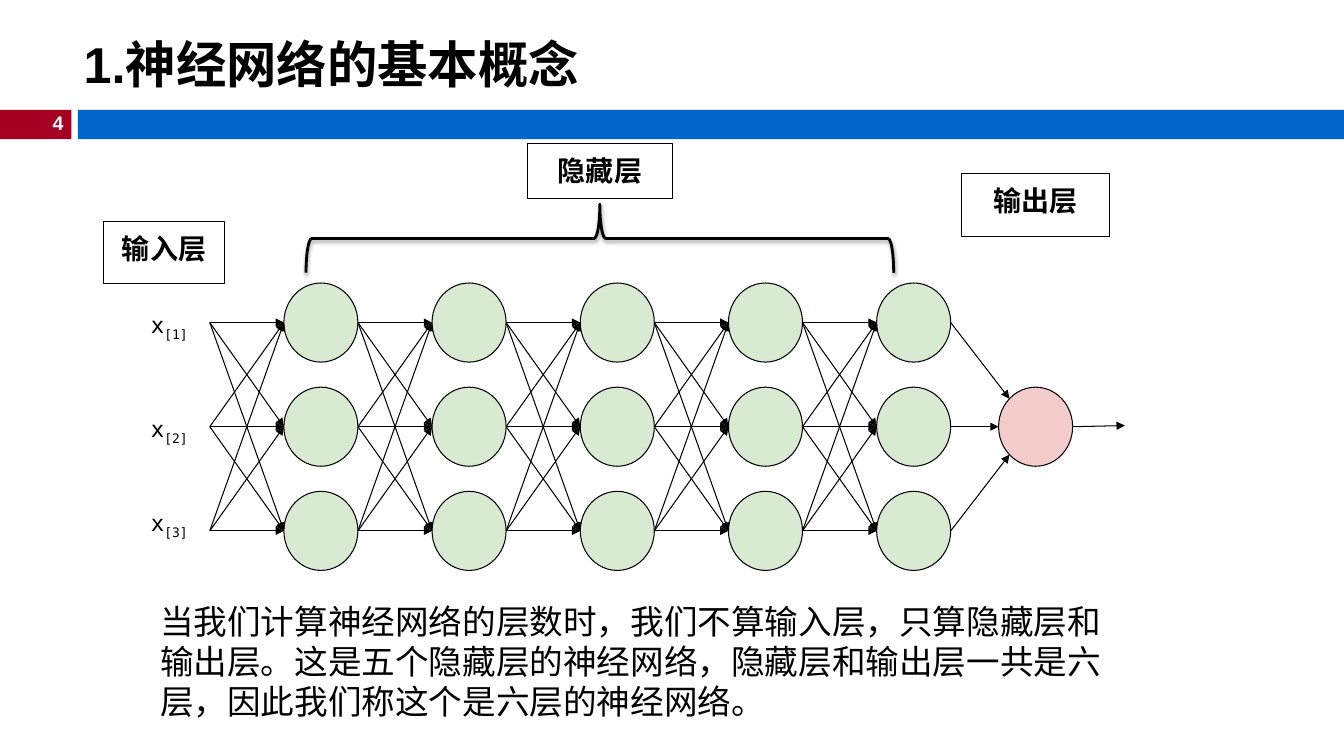
from itertools import product
from math import sqrt

from lxml.etree import SubElement
from pptx import Presentation
from pptx.dml.color import RGBColor
from pptx.enum.shapes import MSO_CONNECTOR as Connector, MSO_SHAPE as Shape
from pptx.enum.text import MSO_ANCHOR as Anchor, PP_ALIGN as Align
from pptx.oxml.ns import qn
from pptx.util import Pt

THEME = dict(
    black="000000", white="FFFFFF", red="A50021", blue="0066CC",
    hidden="D9EAD3", output="F4CCCC",
    sans="Arial", mono="DejaVu Sans Mono",
    title=36, body=24, label=20, input=16, number=14,
    thin=0.75, thick=2,
)

# Content: boxes are (left, top, width, height) in points
TITLE = "1.神经网络的基本概念"
PAGE_NUMBER = "4"
BODY = ("当我们计算神经网络的层数时，我们不算输入层，只算隐藏层和输出层。"
        "这是五个隐藏层的神经网络，隐藏层和输出层一共是六层，因此我们称这个是六层的神经网络。")
BANDS = [((0, 78.5, 51, 20.9), "red"), ((55.6, 78.5, 904.4, 20.9), "blue")]
LAYER_LABELS = [
    ("输入层", (73.7, 158, 87, 44.5)),
    ("隐藏层", (377, 102.2, 103.2, 39.6)),
    ("输出层", (686.9, 124, 105.8, 45.2)),
]
INPUTS = [("[1]", 222.5), ("[2]", 296.5), ("[3]", 363.8)]
INPUT_LEFT, INPUT_WIDTH, INPUT_HEIGHT = 100.8, 52.6, 33.8

# Network geometry
HIDDEN_LAYERS, ROWS = 5, 3
NODE_W, NODE_H = 52.9, 56.5
FIRST_LEFT, LAYER_STEP = 202.8, 105.85
FIRST_CENTER, ROW_STEP = 230.4, 74.4
OUTPUT_LEFT = 713.3
ARROW_END = (803.5, 304)
BRACE = (404, -39.6, 49, 419.8)

layer_lefts = [FIRST_LEFT + i * LAYER_STEP for i in range(HIDDEN_LAYERS)]
row_centers = [FIRST_CENTER + i * ROW_STEP for i in range(ROWS)]
middle = row_centers[ROWS // 2]

deck = Presentation()
deck.slide_width, deck.slide_height = Pt(960), Pt(540)
page = deck.slides.add_slide(deck.slide_layouts[6])


def color(name):
    return RGBColor.from_string(THEME[name])


def points(values):
    return [Pt(round(value, 2)) for value in values]


def assign(target, **values):
    for name, value in values.items():
        setattr(target, name, value)


def add_figure(kind, place, fill=None, line=None, width="thin"):
    figure = page.shapes.add_shape(kind, *points(place))
    figure.shadow.inherit = False
    if fill:
        figure.fill.solid()
        figure.fill.fore_color.rgb = color(fill)
    else:
        figure.fill.background()
    if line:
        figure.line.color.rgb = color(line)
        figure.line.width = Pt(THEME[width])
    else:
        figure.line.fill.background()
    return figure


def add_node(left, center, fill):
    add_figure(Shape.OVAL, (left, center - NODE_H / 2, NODE_W, NODE_H), fill, "black")


def add_arrow(start, end):
    arrow = page.shapes.add_connector(Connector.STRAIGHT, *points(start + end))
    arrow.line.color.rgb = color("black")
    arrow.line.width = Pt(THEME["thin"])
    SubElement(arrow.line._get_or_add_ln(), qn("a:tailEnd"), type="triangle")
    SubElement(arrow._element.spPr, qn("a:effectLst"))


def write(box, spans, size, font="sans", ink="black", bold=False,
          align=Align.LEFT, anchor=Anchor.TOP, wrap=True, inset=(7.2, 3.6)):
    """Fill a box with one paragraph of (text, baseline) spans."""
    across, down = points(inset)
    assign(box.text_frame, word_wrap=wrap, vertical_anchor=anchor,
           margin_left=across, margin_right=across,
           margin_top=down, margin_bottom=down)
    para = box.text_frame.paragraphs[0]
    para.alignment = align
    for text, baseline in spans:
        span = para.add_run()
        span.text = text
        assign(span.font, size=Pt(THEME[size]), name=THEME[font], bold=bold)
        span.font.color.rgb = color(ink)
        if baseline:
            span.font._element.set("baseline", str(baseline))


def add_text(place, spans, size, **options):
    write(page.shapes.add_textbox(*points(place)), spans, size, **options)


def add_soft_shadow(figure):
    effects = figure._element.spPr.find(qn("a:effectLst"))
    shadow = SubElement(effects, qn("a:outerShdw"), blurRad=str(Pt(3.1)),
                        dist=str(Pt(1.6)), dir="5400000", rotWithShape="0")
    ink = SubElement(shadow, qn("a:srgbClr"), val=THEME["black"])
    SubElement(ink, qn("a:alpha"), val="38000")


# Heading
for place, fill in BANDS:
    add_figure(Shape.RECTANGLE, place, fill)
add_text((20.9, 75.6, 31.7, 24.5), [(PAGE_NUMBER, 0)], "number", ink="white",
         bold=True, align=Align.RIGHT, wrap=False)
add_text((52.6, 18.7, 907.4, 53.3), [(TITLE, 0)], "title", bold=True,
         anchor=Anchor.MIDDLE)

# Hidden layers, each fully connected to the one before it
for left in layer_lefts:
    for center in row_centers:
        add_node(left, center, "hidden")
    source = left - LAYER_STEP + NODE_W
    for start, end in product(row_centers, repeat=2):
        add_arrow((source, start), (left, end))

# Output layer
add_node(OUTPUT_LEFT, middle, "output")
last_right = layer_lefts[-1] + NODE_W
diagonal_x = OUTPUT_LEFT + NODE_W / 2 * (1 - 1 / sqrt(2))
diagonal_y = NODE_H / 2 / sqrt(2)
output_ends = [(diagonal_x, middle - diagonal_y), (OUTPUT_LEFT, middle),
               (diagonal_x, middle + diagonal_y)]
for center, end in zip(row_centers, output_ends):
    add_arrow((last_right, center), end)
add_arrow((OUTPUT_LEFT + NODE_W, middle), ARROW_END)

# Labels
for index, top in INPUTS:
    add_text((INPUT_LEFT, top, INPUT_WIDTH, INPUT_HEIGHT),
             [("x", 0), (index, -25000)], "input", font="mono", inset=(7.2, 0))
for text, place in LAYER_LABELS:
    label = add_figure(Shape.RECTANGLE, place, line="black")
    write(label, [(text, 0)], "label", font="mono", bold=True,
          align=Align.CENTER, inset=(7.2, 7.2))
brace = add_figure(Shape.RIGHT_BRACE, BRACE, line="black", width="thick")
brace.rotation = 270
add_soft_shadow(brace)

add_text((107.3, 425.5, 707.8, 94.3), [(BODY, 0)], "body")

deck.save("out.pptx")
